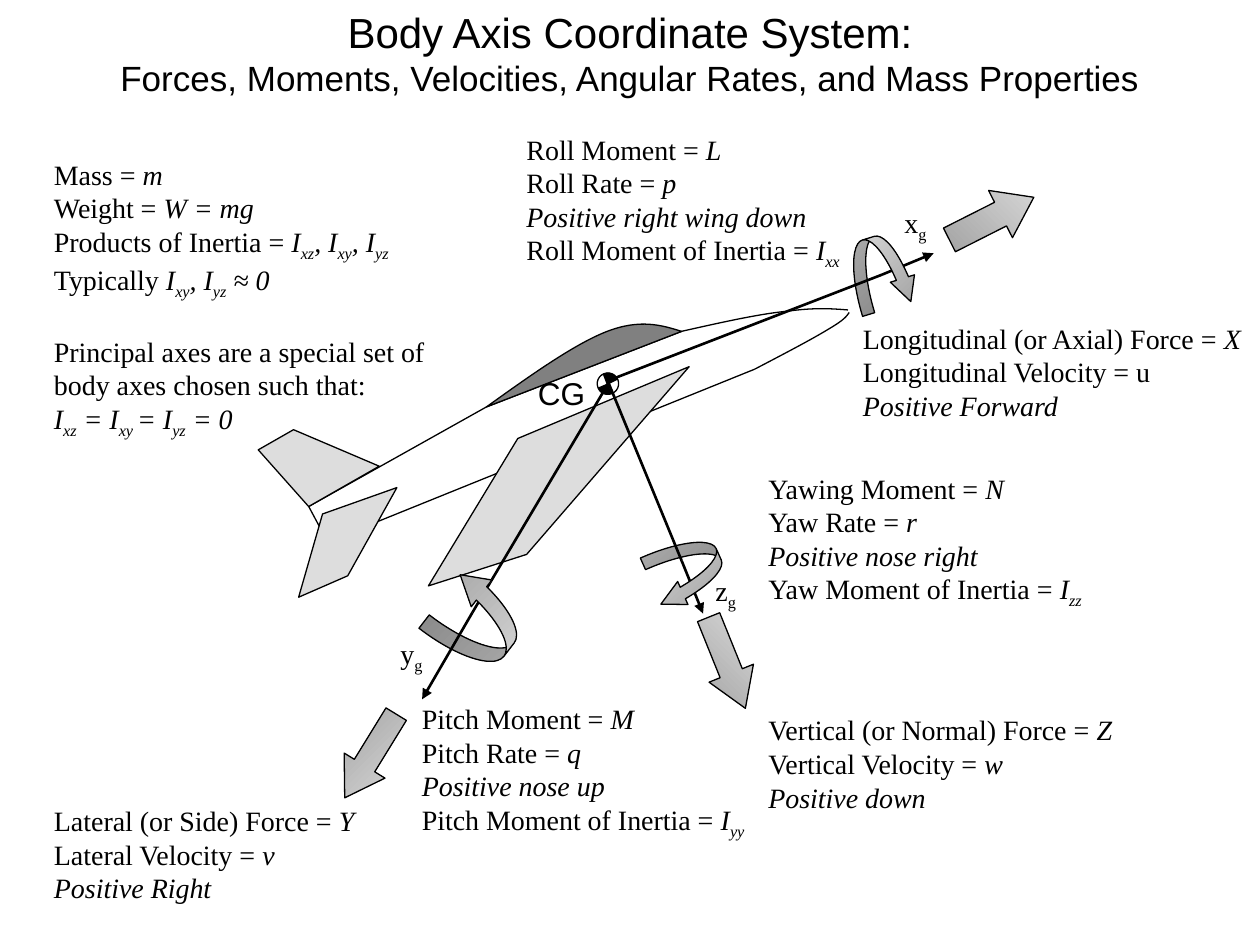
from dataclasses import dataclass
from math import cos, radians, sin
from typing import NamedTuple

from lxml.etree import SubElement
from pptx import Presentation
from pptx.dml.color import RGBColor
from pptx.enum.shapes import MSO_CONNECTOR as Connector, MSO_SHAPE as Preset
from pptx.enum.text import MSO_ANCHOR as Anchor, MSO_AUTO_SIZE as AutoSize, PP_ALIGN as Align
from pptx.oxml.ns import qn
from pptx.util import Inches, Pt

BLACK = RGBColor(0x00, 0x00, 0x00)
WHITE = RGBColor(0xFF, 0xFF, 0xFF)
WING_GRAY = RGBColor(0xDD, 0xDD, 0xDD)
CANOPY_GRAY = RGBColor(0x80, 0x80, 0x80)
ARROW_DARK = RGBColor(0x9E, 0x9E, 0x9E)
SERIF, SANS = "Times New Roman", "Arial"
PLANE_TURN, MARK_TURN = 349.3, 338.2


class Piece(NamedTuple):
    """A stretch of text with one style."""
    text: str
    italic: bool = False
    sub: bool = False


@dataclass
class Note:
    """A text box; each line is a list of pieces."""
    frame: tuple
    lines: list
    wrap: bool = True
    font: str = SERIF
    size: int = 16
    gap_line: int = -1


@dataclass
class Arrow:
    """A shaded block arrow."""
    preset: Preset
    frame: tuple
    turn: float
    adjust: tuple
    flip: str = ""
    shade: int = 45


@dataclass
class Outline:
    """A turned free outline whose first segments are cubic curves."""
    points: list
    fill: RGBColor = None
    curves: int = 0
    turn: float = PLANE_TURN


def plain(text: str) -> Piece:
    """Upright text."""
    return Piece(text)


def ital(text: str) -> Piece:
    """Italic text."""
    return Piece(text, True)


def sub(text: str, italic: bool = True) -> Piece:
    """Subscript text."""
    return Piece(text, italic, True)


def equation(label: str, symbol: str) -> list:
    """A label followed by its italic symbol."""
    return [plain(label + " = "), ital(symbol)]


def moment_lines(name: str, axis: str, moment: str, rate: str, sense: str, index: str) -> list:
    """The four lines on the rotation about one axis."""
    return [equation(name + " Moment", moment), equation(axis + " Rate", rate),
            [ital("Positive " + sense)],
            equation(axis + " Moment of Inertia", "I") + [sub(index)]]


def add_span(para, piece: Piece, font: str, size: int) -> None:
    """Append one run."""
    span = para.add_run()
    span.text = piece.text
    span.font.name, span.font.size = font, Pt(size)
    span.font.italic = piece.italic
    span.font.color.rgb = BLACK
    if piece.sub:
        span.font._element.set("baseline", "-25000")


def add_note(page, note: Note) -> None:
    """Draw a text box."""
    box = page.shapes.add_textbox(*map(Inches, note.frame))
    frame = box.text_frame
    frame.word_wrap = note.wrap
    for index, line in enumerate(note.lines):
        para = frame.add_paragraph() if index else frame.paragraphs[0]
        if index == note.gap_line:
            para.space_before = Pt(19)
        for piece in line:
            add_span(para, piece, note.font, note.size)


def style(shape, fill=None) -> None:
    """Give a shape a thin black outline and a flat fill or none."""
    shape.shadow.inherit = False
    shape.line.color.rgb, shape.line.width = BLACK, Pt(0.75)
    if fill is None:
        shape.fill.background()
    else:
        shape.fill.solid()
        shape.fill.fore_color.rgb = fill


def add_line(page, start: tuple, end: tuple, width: float = 0.75, head: bool = False) -> None:
    """Draw a straight black line, optionally with an arrowhead."""
    line = page.shapes.add_connector(Connector.STRAIGHT, *map(Inches, start + end))
    line.line.color.rgb, line.line.width = BLACK, Pt(width)
    if head:
        SubElement(line.line._get_or_add_ln(), qn("a:tailEnd"), type="triangle")
    SubElement(line._element.spPr, qn("a:effectLst"))


def rotate(point: tuple, degrees: float) -> tuple:
    """Turn a point clockwise about the page corner."""
    (x, y), angle = point, radians(degrees)
    return x * cos(angle) - y * sin(angle), x * sin(angle) + y * cos(angle)


def add_outline(target, outline: Outline) -> None:
    """Draw a free outline in its own turned frame, closed when filled."""
    level = [rotate(point, -outline.turn) for point in outline.points]
    middle = tuple((min(values) + max(values)) / 2 for values in zip(*level))
    placed = rotate(middle, outline.turn)
    places = [tuple(Inches(p + b - a) for p, a, b in zip(point, middle, placed))
              for point in level]
    builder = target.shapes.build_freeform(*places[0])
    builder.add_line_segments(places[1:], close=outline.fill is not None)
    shape = builder.convert_to_shape()
    shape.rotation = outline.turn
    style(shape, outline.fill)
    route = shape._element.spPr.find(".//" + qn("a:path"))
    segments = route.findall(qn("a:lnTo"))
    for index in range(outline.curves):
        first, *others = segments[3 * index:3 * index + 3]
        first.tag = qn("a:cubicBezTo")
        for other in others:
            first.append(other[0])
            route.remove(other)


def add_arrow(page, arrow: Arrow) -> None:
    """Draw a block arrow with a gray gradient."""
    shape = page.shapes.add_shape(arrow.preset, *map(Inches, arrow.frame))
    style(shape)
    for index, value in enumerate(arrow.adjust):
        shape.adjustments[index] = value
    shape.rotation = arrow.turn
    if arrow.flip:
        shape._element.spPr.find(qn("a:xfrm")).set(arrow.flip, "1")
    shape.fill.gradient()
    shape.fill.gradient_angle = arrow.shade
    for stop, color in zip(shape.fill.gradient_stops, (ARROW_DARK, WING_GRAY)):
        stop.color.rgb = color
    shape._element.spPr.find(qn("a:gradFill")).set("rotWithShape", "0")


def add_title(page) -> None:
    """Fill and place the two-line title."""
    title = page.shapes.title
    title.left, title.top, title.width, title.height = map(Inches, (0.33, 0, 9.34, 0.84))
    frame = title.text_frame
    frame.auto_size, frame.vertical_anchor = AutoSize.NONE, Anchor.TOP
    lines = (("Body Axis Coordinate System:", 24),
             ("Forces, Moments, Velocities, Angular Rates, and Mass Properties", 20))
    for index, (text, size) in enumerate(lines):
        para = frame.add_paragraph() if index else frame.paragraphs[0]
        para.alignment = Align.CENTER
        add_span(para, plain(text), SANS, size)


TAIL_LOW, TAIL_TOP, NOSE_LOW = (2.6, 4.3), (2.45, 4.02), (5.99, 2.93)
CANOPY_FRONT, CANOPY_BACK, CENTER = (5.41, 2.63), (3.86, 3.23), (4.82, 3.05)
BODY_LINES = [(TAIL_LOW, NOSE_LOW), (CANOPY_FRONT, CANOPY_BACK),
              (TAIL_LOW, TAIL_TOP), (CANOPY_BACK, TAIL_TOP)]
BODY_OUTLINES = [
    Outline([NOSE_LOW, (6.22, 2.81), (6.45, 2.69), (6.58, 2.61),
             (6.7, 2.54), (6.72, 2.51), (6.74, 2.48)], curves=2),
    Outline([(6.73, 2.46), (6.6, 2.45), (6.47, 2.44), (6.25, 2.47),
             (6.03, 2.49), (5.72, 2.56), CANOPY_FRONT], curves=2),
    Outline([(5.47, 2.91), (4.18, 4.4), (3.4, 4.65), (4.11, 3.48)], WING_GRAY),
    Outline([CANOPY_FRONT, (5.25, 2.58), (5.08, 2.53), (4.82, 2.63),
             (4.56, 2.73), (4.21, 2.98), CANOPY_BACK], CANOPY_GRAY, 2),
    Outline([(3.01, 3.7), (2.33, 3.41), (2.05, 3.57), TAIL_TOP], WING_GRAY),
    Outline([(3.15, 3.87), (2.76, 4.57), (2.37, 4.74), (2.56, 4.08)], WING_GRAY),
]
MARK_SECTORS = [
    Outline([(4.79, 2.97), (4.83, 2.95), (4.88, 2.97), (4.9, 3.01), CENTER],
            BLACK, 1, MARK_TURN),
    Outline([(4.75, 3.08), (4.76, 3.12), (4.81, 3.14), (4.85, 3.12), CENTER],
            BLACK, 1, MARK_TURN - 270),
]


def add_aircraft(page) -> None:
    """Draw the aircraft and its center-of-gravity mark."""
    for start, end in BODY_LINES:
        add_line(page, start, end)
    for outline in BODY_OUTLINES:
        add_outline(page, outline)
    mark = page.shapes.add_group_shape()
    disc = mark.shapes.add_shape(Preset.OVAL, *map(Inches, (4.74, 2.96, 0.17, 0.17)))
    disc.rotation = MARK_TURN
    style(disc, WHITE)
    for sector in MARK_SECTORS:
        add_outline(mark, sector)


FORCE, SPIN = (0.5, 0.79), (0.2, 0.4, 0.389)
# Each axis: origin, point where it meets its turning arrow, tip, and the turning arrow.
AXES = [
    ((4.83, 3.04), (5.41, 4.45), (5.58, 4.87),
     Arrow(Preset.CURVED_RIGHT_ARROW, (5.16, 4.29, 0.58, 0.5), 336, SPIN, "flipH")),
    ((4.83, 3.02), (7, 2.18), (7.41, 2.01),
     Arrow(Preset.CURVED_RIGHT_ARROW, (6.71, 1.91, 0.58, 0.5), 253, SPIN, "flipH")),
]
PITCH_ARROW = Arrow(Preset.CURVED_DOWN_ARROW, (3.46, 4.59, 0.67, 0.67), 307.6,
                    (0.2, 0.4, 0.335), "flipV")
FORCES = [Arrow(Preset.DOWN_ARROW, (5.58, 4.87, 0.38, 0.78), 338, FORCE),
          Arrow(Preset.DOWN_ARROW, (2.75, 5.61, 0.38, 0.78), 31.6, FORCE, shade=315),
          Arrow(Preset.DOWN_ARROW, (7.66, 1.36, 0.42, 0.75), 243.2, (0.5, 0.703))]
NOTES = [
    Note((6, 3.69, 2.75, 1.44), moment_lines("Yawing", "Yaw", "N", "r", "nose right", "zz")),
    Note((6, 5.61, 2.97, 0.9), [equation("Vertical (or Normal) Force", "Z"),
                                equation("Vertical Velocity", "w"),
                                [ital("Positive down")]], wrap=False),
    Note((0.33, 1.2, 3.33, 2.24), [
        equation("Mass", "m"), equation("Weight", "W = mg"),
        equation("Products of Inertia", "I")
        + [sub("xz"), ital(", I"), sub("xy"), ital(", I"), sub("yz")],
        [plain("Typically"), ital(" I"), sub("xy"), ital(", I"), sub("yz"), ital(" ≈ 0")],
        [plain("Principal axes are a special set of body axes chosen such that:")],
        [ital("I"), sub("xz"), ital(" = I"), sub("xy "), ital("= I"), sub("yz"), ital(" = 0")],
    ], gap_line=4),
    Note((0.33, 6.33, 2.75, 0.9), [equation("Lateral (or Side) Force", "Y"),
                                   equation("Lateral Velocity", "v"), [ital("Positive Right")]]),
    Note((3.25, 5.52, 2.83, 1.17), moment_lines("Pitch", "Pitch", "M", "q", "nose up", "yy")),
    Note((6.75, 2.5, 3.25, 0.9), [equation("Longitudinal (or Axial) Force", "X"),
                                  [plain("Longitudinal Velocity = u")],
                                  [ital("Positive Forward")]]),
    Note((4.08, 1, 2.75, 1.44), moment_lines("Roll", "Roll", "L", "p", "right wing down", "xx")),
    Note((4.17, 2.92, 0.58, 0.4), [[plain("CG")]], wrap=False, font=SANS, size=18),
] + [Note(frame, [[plain(axis), sub("g", False)]], wrap=False)
     for axis, frame in (("x", (7.08, 1.58, 0.39, 0.37)), ("z", (5.58, 4.5, 0.38, 0.37)),
                         ("y", (3.08, 5, 0.39, 0.37)))]

deck = Presentation()
deck.slide_width, deck.slide_height = Inches(10), Inches(7.5)
page = deck.slides.add_slide(deck.slide_layouts[5])
add_title(page)
add_aircraft(page)
for origin, joint, tip, turning in AXES:
    add_line(page, joint, tip, 1.5, head=True)
    add_arrow(page, turning)
    add_line(page, origin, joint, 1.5)
add_line(page, (4.83, 3.04), (3.75, 4.86), 1.5)
add_arrow(page, PITCH_ARROW)
add_line(page, (3.75, 4.86), (3.35, 5.55), 1.5, head=True)
for force in FORCES:
    add_arrow(page, force)
for note in NOTES:
    add_note(page, note)
deck.save("out.pptx")
